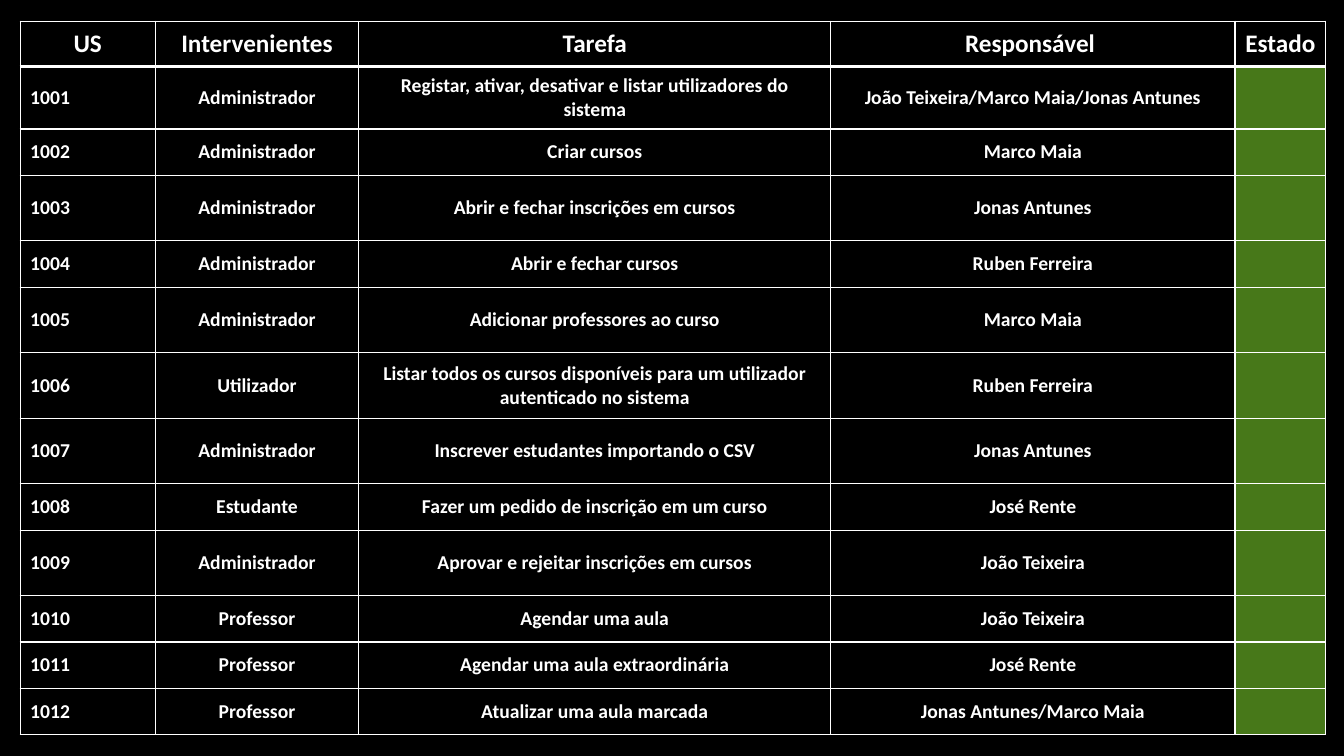
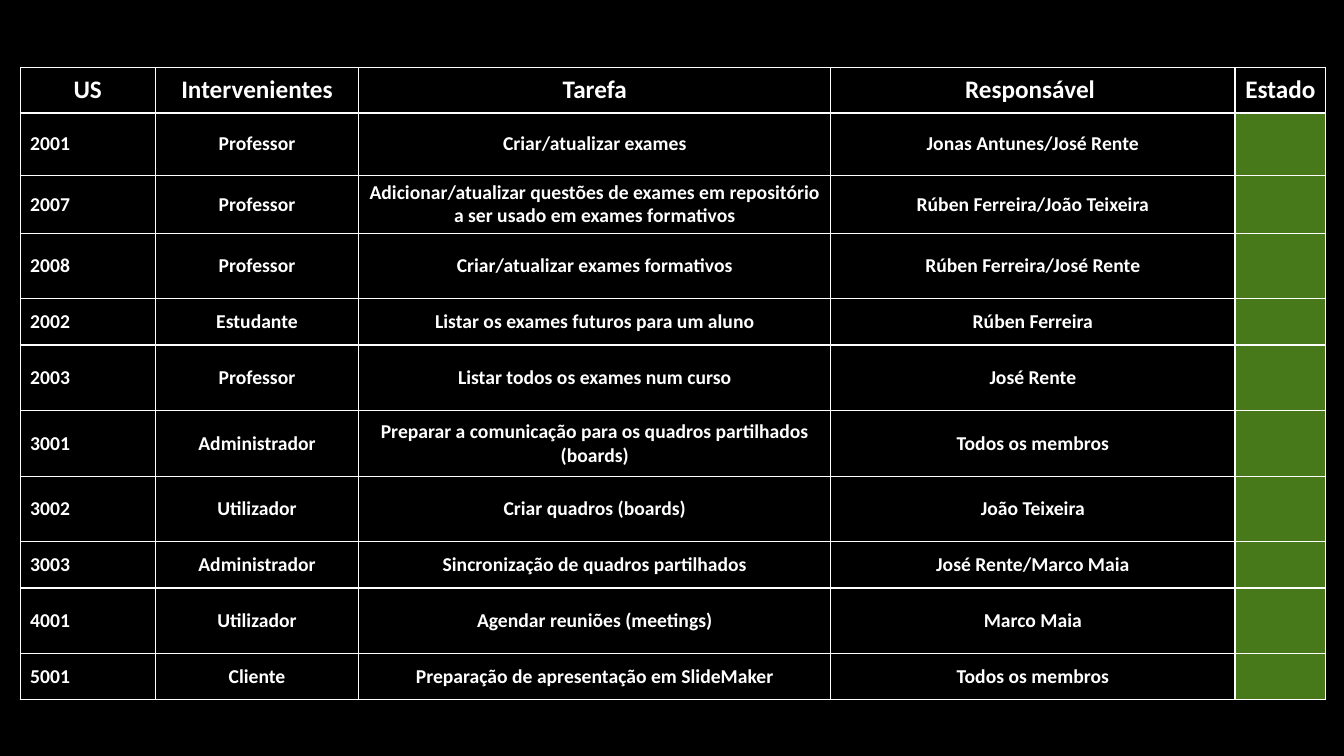
"""Build the two user-story tracking slides."""
from dataclasses import dataclass

from lxml import etree
from pptx import Presentation
from pptx import util as u
from pptx.dml.color import RGBColor
from pptx.enum import text
from pptx.oxml import ns

BLACK = RGBColor(0x00, 0x00, 0x00)
WHITE = RGBColor(0xFF, 0xFF, 0xFF)
GREEN = RGBColor(0x5F, 0xA1, 0x22)

LEFT = u.Inches(0.2)
COL_WIDTHS = [u.Inches(w) for w in (1.34, 2.02, 4.68, 4.01, 0.9)]
SHORT, TALL = u.Inches(0.46), u.Inches(0.65)
ROW_HEIGHTS = [u.Inches(0.45), u.Inches(0.62), SHORT, TALL, SHORT,
               TALL, TALL, TALL, SHORT, TALL, SHORT, SHORT, SHORT]
HEADERS = ("US", "Intervenientes", "Tarefa", "Responsável ", "Estado")
BODY_FONT = {"name": "Calibri", "size": u.Pt(14), "bold": True}
HEADER_FONT = BODY_FONT | {"size": u.Pt(18)}
BODY_BORDERS = {"L": 1, "R": 1, "T": 1, "B": 1}
FIRST_BORDERS = BODY_BORDERS | {"T": 2}
HEADER_BORDERS = BODY_BORDERS | {"B": 2}


@dataclass(frozen=True)
class Story:
    """One user story row."""
    code: str
    actor: str
    task: str
    owner: str


@dataclass(frozen=True)
class Board:
    """One slide's table of stories."""
    top: float
    stories: tuple[Story, ...]


BOARDS = (
    Board(0.21, (
        Story("1001", "Administrador",
              "Registar, ativar, desativar e listar utilizadores do sistema",
              "João Teixeira/Marco Maia/Jonas Antunes"),
        Story("1002", "Administrador", "Criar cursos", "Marco Maia"),
        Story("1003", "Administrador", "Abrir e fechar inscrições em cursos", "Jonas Antunes"),
        Story("1004", "Administrador", "Abrir e fechar cursos", "Ruben Ferreira"),
        Story("1005", "Administrador", "Adicionar professores ao curso", "Marco Maia"),
        Story("1006", "Utilizador",
              "Listar todos os cursos disponíveis para um utilizador autenticado no sistema",
              "Ruben Ferreira"),
        Story("1007", "Administrador", "Inscrever estudantes importando o CSV", "Jonas Antunes"),
        Story("1008", "Estudante", "Fazer um pedido de inscrição em um curso", "José Rente"),
        Story("1009", "Administrador", "Aprovar e rejeitar inscrições em cursos",
              "João Teixeira"),
        Story("1010", "Professor", "Agendar uma aula", "João Teixeira"),
        Story("1011", "Professor", "Agendar uma aula extraordinária", "José Rente"),
        Story("1012", "Professor", "Atualizar uma aula marcada", "Jonas Antunes/Marco Maia"),
    )),
    Board(0.67, (
        Story("2001", "Professor", "Criar/atualizar exames", "Jonas Antunes/José Rente"),
        Story("2007", "Professor",
              "Adicionar/atualizar questões de exames em repositório a ser usado "
              "em exames formativos",
              "Rúben Ferreira/João Teixeira"),
        Story("2008", "Professor", "Criar/atualizar exames formativos",
              "Rúben Ferreira/José Rente"),
        Story("2002", "Estudante", "Listar os exames futuros para um aluno", "Rúben Ferreira"),
        Story("2003", "Professor", "Listar todos os exames num curso", "José Rente"),
        Story("3001", "Administrador",
              "Preparar a comunicação para os quadros partilhados (boards)",
              "Todos os membros"),
        Story("3002", "Utilizador", "Criar quadros (boards)", "João Teixeira"),
        Story("3003", "Administrador", "Sincronização de quadros partilhados",
              "José Rente/Marco Maia"),
        Story("4001", "Utilizador", "Agendar reuniões (meetings)", "Marco Maia"),
        Story("5001", "Cliente", "Preparação de apresentação em SlideMaker",
              "Todos os membros"),
    )),
)


def set_borders(cell, widths: dict[str, int]) -> None:
    """Draw white borders of the given point widths."""
    tc_pr = cell._tc.get_or_add_tcPr()
    for side, width in widths.items():
        ln = etree.SubElement(tc_pr, ns.qn(f"a:ln{side}"), w=str(u.Pt(width)))
        fill = etree.SubElement(ln, ns.qn("a:solidFill"))
        etree.SubElement(fill, ns.qn("a:srgbClr"), val=str(WHITE))


def set_fill(cell, color: RGBColor, opacity: int) -> None:
    """Fill a cell at the given opacity percentage."""
    cell.fill.solid()
    cell.fill.fore_color.rgb = color
    clr = cell._tc.tcPr.find(".//" + ns.qn("a:srgbClr") + f"[@val='{color}']/..")
    clr = cell._tc.tcPr.find(ns.qn("a:solidFill")).find(ns.qn("a:srgbClr"))
    etree.SubElement(clr, ns.qn("a:alpha"), val=str(opacity * 1000))


def write_cell(cell, words: str, font: dict, align: text.PP_ALIGN) -> None:
    """Write one formatted paragraph into a cell."""
    cell.vertical_anchor = text.MSO_ANCHOR.MIDDLE
    p = cell.text_frame.paragraphs[0]
    p.alignment = align
    r = p.add_run()
    r.text = words
    for name, value in font.items():
        setattr(r.font, name, value)
    r.font.color.rgb = WHITE


def add_board(prs, board: Board) -> None:
    """Add a black slide holding one story table."""
    s = prs.slides.add_slide(prs.slide_layouts[6])
    s.background.fill.solid()
    s.background.fill.fore_color.rgb = BLACK
    rows = [HEADERS] + [(x.code, x.actor, x.task, x.owner, "") for x in board.stories]
    heights = ROW_HEIGHTS[:len(rows)]
    table = s.shapes.add_table(len(rows), len(HEADERS), LEFT, u.Inches(board.top),
                               sum(COL_WIDTHS), sum(heights)).table
    table.horz_banding = False
    for column, width in zip(table.columns, COL_WIDTHS):
        column.width = width
    for i, (row, height, values) in enumerate(zip(table.rows, heights, rows)):
        row.height = height
        borders = {0: HEADER_BORDERS, 1: FIRST_BORDERS}.get(i, BODY_BORDERS)
        for j, (cell, words) in enumerate(zip(row.cells, values)):
            set_borders(cell, borders)
            set_fill(cell, *((BLACK, 60) if words else (GREEN, 75)))
            if words:
                align = text.PP_ALIGN.LEFT if i and not j else text.PP_ALIGN.CENTER
                write_cell(cell, words, BODY_FONT if i else HEADER_FONT, align)


def main() -> None:
    """Build and save the presentation."""
    prs = Presentation()
    prs.slide_width, prs.slide_height = u.Inches(13.33), u.Inches(7.5)
    for board in BOARDS:
        add_board(prs, board)
    prs.save("out.pptx")


if __name__ == "__main__":
    main()
